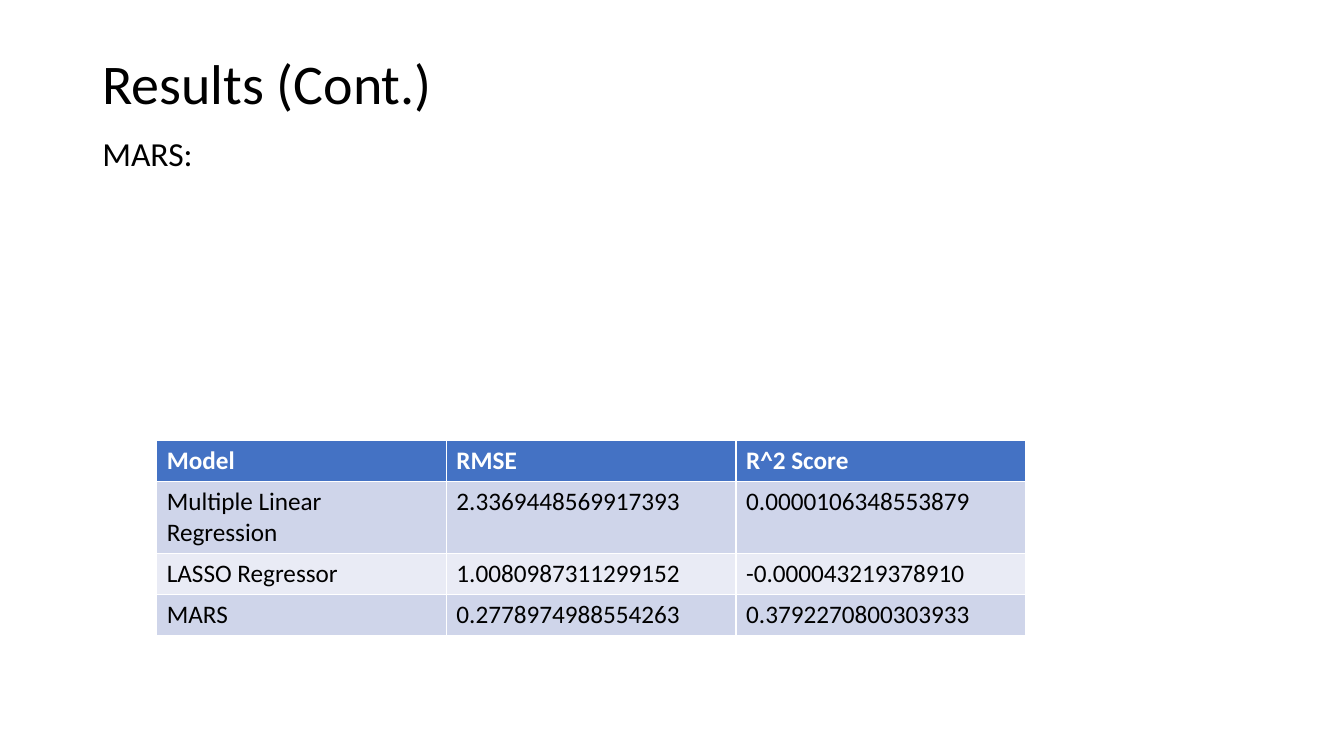
from dataclasses import dataclass

from pptx import Presentation
from pptx import util as u
from pptx.dml.color import RGBColor
from pptx.enum import text


@dataclass(frozen=True)
class Theme:
    font: str = "Calibri"
    title: int = 40
    body: int = 24
    cell: int = 18
    ink: str = "000000"
    paper: str = "FFFFFF"
    header: str = "4472C4"
    bands: tuple = ("CFD5EA", "E9EBF5")


class Deck:
    def __init__(self, theme):
        self.theme = theme
        self.prs = Presentation()
        self.prs.slide_width, self.prs.slide_height = u.Cm(33.87), u.Cm(19.05)
        self.s = self.prs.slides.add_slide(self.prs.slide_layouts[6])

    def add_text(self, p, content, size, color, bold=False):
        r = p.add_run()
        r.text = content
        formats = {"name": self.theme.font, "size": u.Pt(size), "bold": bold}
        for name, value in formats.items():
            setattr(r.font, name, value)
        r.font.color.rgb = RGBColor.from_string(color)

    def text_box(self, content, box, size, anchor, space_before=0):
        tf = self.s.shapes.add_textbox(*map(u.Cm, box)).text_frame
        formats = {"word_wrap": True, "auto_size": text.MSO_AUTO_SIZE.NONE,
                   "vertical_anchor": anchor}
        for name, value in formats.items():
            setattr(tf, name, value)
        p = tf.paragraphs[0]
        p.line_spacing, p.space_before = 0.9, u.Pt(space_before)
        self.add_text(p, content, size, self.theme.ink)

    def table(self, rows, left, top, col_width, row_heights):
        """Banded table; white rules come from the default table style."""
        t = self.theme
        box = left, top, col_width * len(rows[0]), sum(row_heights)
        tbl = self.s.shapes.add_table(len(rows), len(rows[0]), *map(u.Cm, box)).table
        for col in tbl.columns:
            col.width = u.Cm(col_width)
        for i, (values, height) in enumerate(zip(rows, row_heights)):
            tbl.rows[i].height = u.Cm(height)
            is_header = i == 0
            fill = t.header if is_header else t.bands[(i - 1) % 2]
            color = t.paper if is_header else t.ink
            for cell, value in zip(tbl.rows[i].cells, values):
                cell.fill.solid()
                cell.fill.fore_color.rgb = RGBColor.from_string(fill)
                self.add_text(cell.text_frame.paragraphs[0], value, t.cell, color, is_header)


def main():
    theme = Theme()
    deck = Deck(theme)
    left, width = 2.33, 29.21
    deck.text_box("Results (Cont.)", (left, 1.01, width, 2.34), theme.title,
                  text.MSO_ANCHOR.MIDDLE)
    deck.text_box("MARS:", (left, 3.35, width, 13.82), theme.body,
                  text.MSO_ANCHOR.TOP, space_before=10)
    scores = [
        ("Model", "RMSE", "R^2 Score"),
        ("Multiple Linear Regression", "2.3369448569917393", "0.0000106348553879"),
        ("LASSO Regressor", "1.0080987311299152", "-0.000043219378910"),
        ("MARS", "0.2778974988554263", "0.3792270800303933"),
    ]
    deck.table(scores, 3.95, 11.11, 7.3, (1.03, 1.79, 1.03, 1.03))
    deck.prs.save("out.pptx")


if __name__ == "__main__":
    main()
